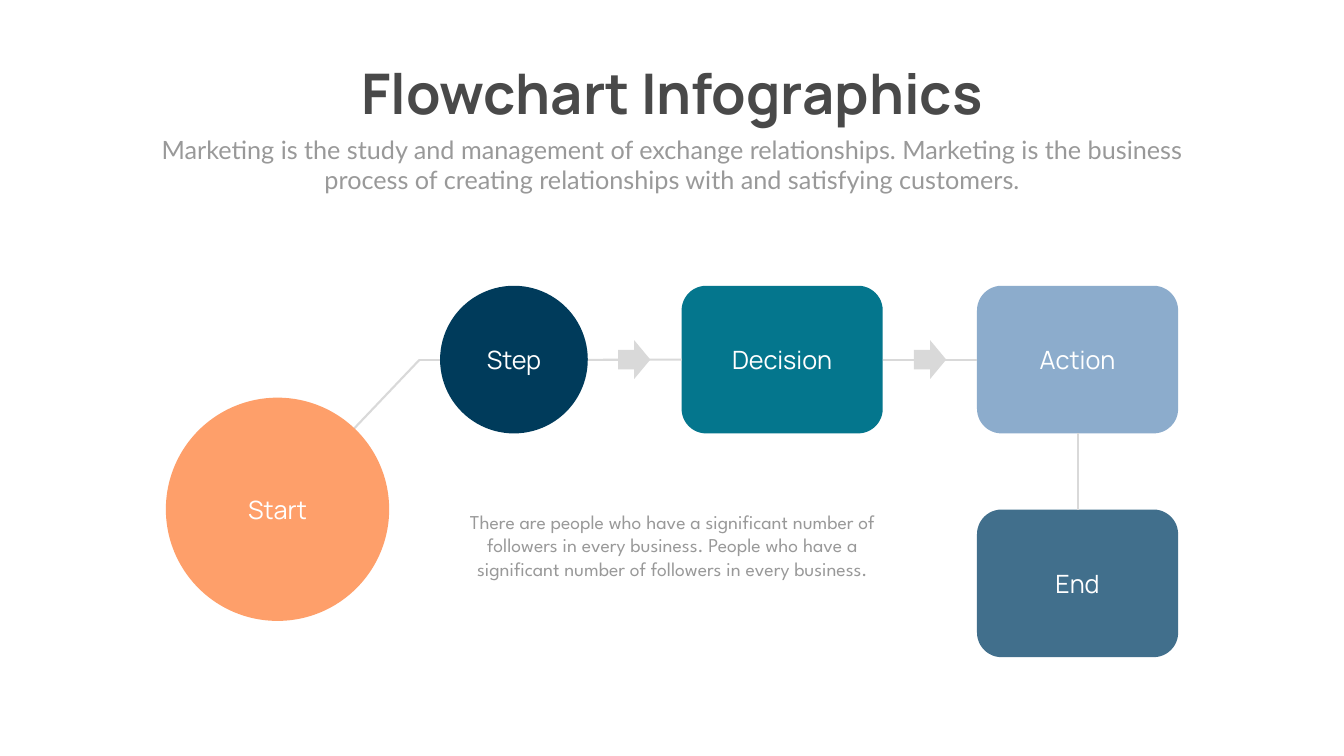
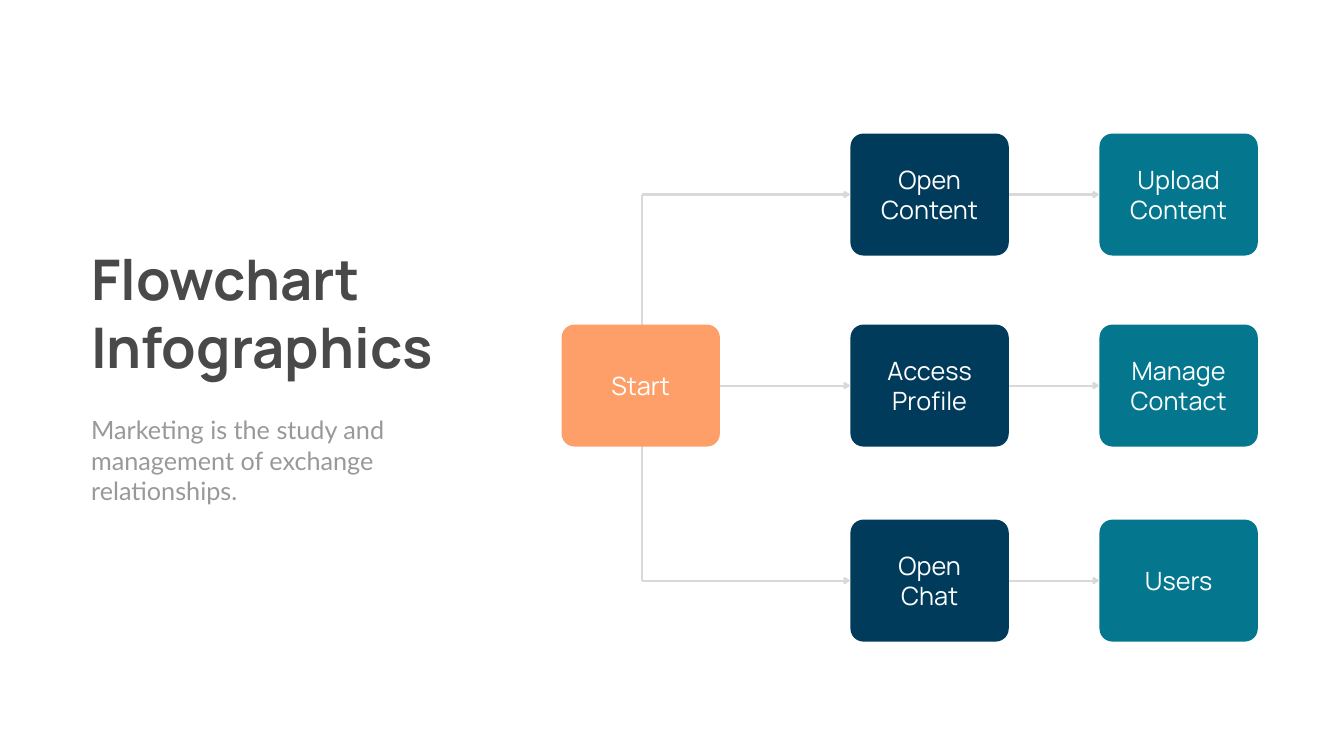
from dataclasses import dataclass
from typing import Optional

from lxml.etree import SubElement
from pptx import Presentation
from pptx.dml.color import RGBColor
from pptx.enum.shapes import MSO_CONNECTOR, MSO_SHAPE
from pptx.enum.text import MSO_AUTO_SIZE, PP_ALIGN
from pptx.oxml.ns import qn
from pptx.shapes.autoshape import Shape
from pptx.shapes.connector import Connector
from pptx.slide import Slide
from pptx.util import Inches, Pt


@dataclass(frozen=True)
class TextStyle:
    font: str
    size: int
    color: str
    bold: bool = False


@dataclass(frozen=True)
class Theme:
    background: str = "FFFFFF"
    line: str = "D9D9D9"
    line_width: float = 3
    orange: str = "FE9F6A"
    navy: str = "003B5B"
    teal: str = "04768D"
    sky: str = "8CACCC"
    slate: str = "416F8C"
    title: TextStyle = TextStyle("Manrope", 80, "494949", True)
    subtitle: TextStyle = TextStyle("Lato", 36, "999999")
    label: TextStyle = TextStyle("Manrope", 36, "FFFFFF")
    note: TextStyle = TextStyle("League Spartan", 28, "999999")


THEME = Theme()
TITLE = "Flowchart Infographics"
LABEL_LINE = 0.605
TOP, LEFT, BOTTOM, RIGHT = range(4)


@dataclass(frozen=True)
class Area:
    left: float
    top: float
    width: float
    height: float


@dataclass(frozen=True)
class Node:
    area: Area
    color: str
    paragraphs: tuple[str, ...]
    label_width: float
    label_lines: int = 1
    kind: MSO_SHAPE = MSO_SHAPE.ROUNDED_RECTANGLE
    corner: Optional[float] = None


@dataclass(frozen=True)
class Point:
    x: float
    y: float


def add_text(shapes, area: Area, paragraphs: tuple[str, ...], style: TextStyle,
             align: PP_ALIGN = PP_ALIGN.CENTER, wrap: bool = True,
             padded: bool = True) -> None:
    box = shapes.add_textbox(Inches(area.left), Inches(area.top),
                             Inches(area.width), Inches(area.height))
    frame = box.text_frame
    frame.word_wrap = wrap
    frame.auto_size = MSO_AUTO_SIZE.SHAPE_TO_FIT_TEXT
    if not padded:
        frame.margin_left = frame.margin_right = Inches(0)
        frame.margin_top = frame.margin_bottom = Inches(0)
    for index, text in enumerate(paragraphs):
        para = frame.add_paragraph() if index else frame.paragraphs[0]
        para.alignment = align
        span = para.add_run()
        span.text = text
        span.font.name = style.font
        span.font.size = Pt(style.size)
        span.font.bold = style.bold
        span.font.color.rgb = RGBColor.from_string(style.color)


def add_solid(page: Slide, kind: MSO_SHAPE, area: Area, color: str) -> Shape:
    shape = page.shapes.add_shape(kind, Inches(area.left), Inches(area.top),
                                  Inches(area.width), Inches(area.height))
    shape.shadow.inherit = False
    shape.fill.solid()
    shape.fill.fore_color.rgb = RGBColor.from_string(color)
    shape.line.fill.background()
    return shape


def add_node(page: Slide, node: Node) -> Shape:
    area = node.area
    shape = add_solid(page, node.kind, area, node.color)
    if node.corner is not None:
        shape.adjustments[0] = node.corner
    height = node.label_lines * LABEL_LINE
    label = Area(area.left + (area.width - node.label_width) / 2,
                 area.top + (area.height - height) / 2, node.label_width, height)
    add_text(page.shapes, label, node.paragraphs, THEME.label, padded=False)
    return shape


def add_line(page: Slide, start: Point, end: Point, arrow: bool = False) -> Connector:
    line = page.shapes.add_connector(MSO_CONNECTOR.STRAIGHT, Inches(start.x), Inches(start.y),
                                     Inches(end.x), Inches(end.y))
    line.line.color.rgb = RGBColor.from_string(THEME.line)
    line.line.width = Pt(THEME.line_width)
    if arrow:
        SubElement(line.line._get_or_add_ln(), qn("a:tailEnd"), type="arrow")
    SubElement(line._element.spPr, qn("a:effectLst"))
    return line


def join(page: Slide, source: Shape, source_side: int, target: Shape, target_side: int,
         arrow: bool = False) -> None:
    line = add_line(page, Point(0, 0), Point(1, 1), arrow)
    line.begin_connect(source, source_side)
    line.end_connect(target, target_side)


def add_page(deck) -> Slide:
    page = deck.slides.add_slide(deck.slide_layouts[6])
    page.background.fill.solid()
    page.background.fill.fore_color.rgb = RGBColor.from_string(THEME.background)
    return page


def build_process(deck) -> None:
    page = add_page(deck)
    add_text(page.shapes, Area(6.55, 1.12, 13.57, 1.45), (TITLE,), THEME.title, wrap=False)
    add_text(page.shapes, Area(2.92, 2.61, 20.82, 1.31),
             ("Marketing is the study and management of exchange relationships. Marketing is "
              "the business process of creating relationships with and satisfying customers.",),
             THEME.subtitle)

    axis = 7.14
    bend = Point(8.32, axis)
    add_line(page, Point(6.59, 8.96), bend)
    add_line(page, bend, Point(9, axis))

    top, width, height = 5.67, 3.99, 2.93
    add_node(page, Node(Area(3.29, 7.89, 4.43, 4.43), THEME.orange, ("Start",), 2.17,
                        kind=MSO_SHAPE.OVAL))
    add_node(page, Node(Area(8.73, top, height, height), THEME.navy, ("Step",), 3.14,
                        kind=MSO_SHAPE.OVAL))
    decision, action, end = (
        add_node(page, Node(Area(left, y, width, height), color, (text,), 2.67))
        for left, y, color, text in (
            (13.52, top, THEME.teal, "Decision"),
            (19.38, top, THEME.sky, "Action"),
            (19.38, 10.11, THEME.slate, "End"),
        )
    )
    add_line(page, Point(11.66, axis), Point(13.52, axis)).end_connect(decision, LEFT)
    join(page, decision, RIGHT, action, LEFT)
    join(page, action, BOTTOM, end, TOP)
    for left in (12.26, 18.13):
        add_solid(page, MSO_SHAPE.RIGHT_ARROW, Area(left, 6.75, 0.64, 0.77), THEME.line)

    add_text(page.shapes, Area(9.15, 10.06, 8.37, 1.99),
             ("There are people who have a significant number of followers in every business. "
              "People who have a significant number of followers in every business.",),
             THEME.note)


def build_branches(deck) -> None:
    page = add_page(deck)
    width, height = 3.14, 2.42
    row_tops = (2.65, 6.44, 10.31)
    axes = [top + height / 2 for top in row_tops]
    trunk = 12.74
    add_line(page, Point(trunk, axes[0]), Point(trunk, axes[-1]))

    heading = page.shapes.add_group_shape()
    add_text(heading.shapes, Area(1.71, 4.81, 8.08, 2.79), (TITLE,), THEME.title, PP_ALIGN.LEFT)
    add_text(heading.shapes, Area(1.71, 8.18, 6.87, 1.92),
             ("Marketing is the study and management of exchange relationships.",),
             THEME.subtitle, PP_ALIGN.LEFT)

    def add_step(left: float, top: float, color: str, paragraphs: tuple[str, ...],
                 lines: int = 2) -> Shape:
        return add_node(page, Node(Area(left, top, width, height), color, paragraphs,
                                   2.17, lines, corner=0.106))

    start = add_step(11.14, row_tops[1], THEME.orange, ("Start",), 1)
    rows = (
        (("Open Content",), ("Upload Content",), 2),
        (("Access", "Profile"), ("Manage Contact",), 2),
        (("Open Chat",), ("Users",), 1),
    )
    for index, (first, second, lines) in enumerate(rows):
        opener = add_step(16.87, row_tops[index], THEME.navy, first)
        result = add_step(21.81, row_tops[index], THEME.teal, second, lines)
        join(page, opener, RIGHT, result, LEFT, arrow=True)
        if index == 1:
            join(page, start, RIGHT, opener, LEFT, arrow=True)
        else:
            branch = add_line(page, Point(trunk, axes[index]), Point(16.87, axes[index]), True)
            branch.end_connect(opener, LEFT)


def main() -> None:
    deck = Presentation()
    deck.slide_width, deck.slide_height = Inches(26.66), Inches(15)
    build_process(deck)
    build_branches(deck)
    deck.save("out.pptx")


if __name__ == "__main__":
    main()
